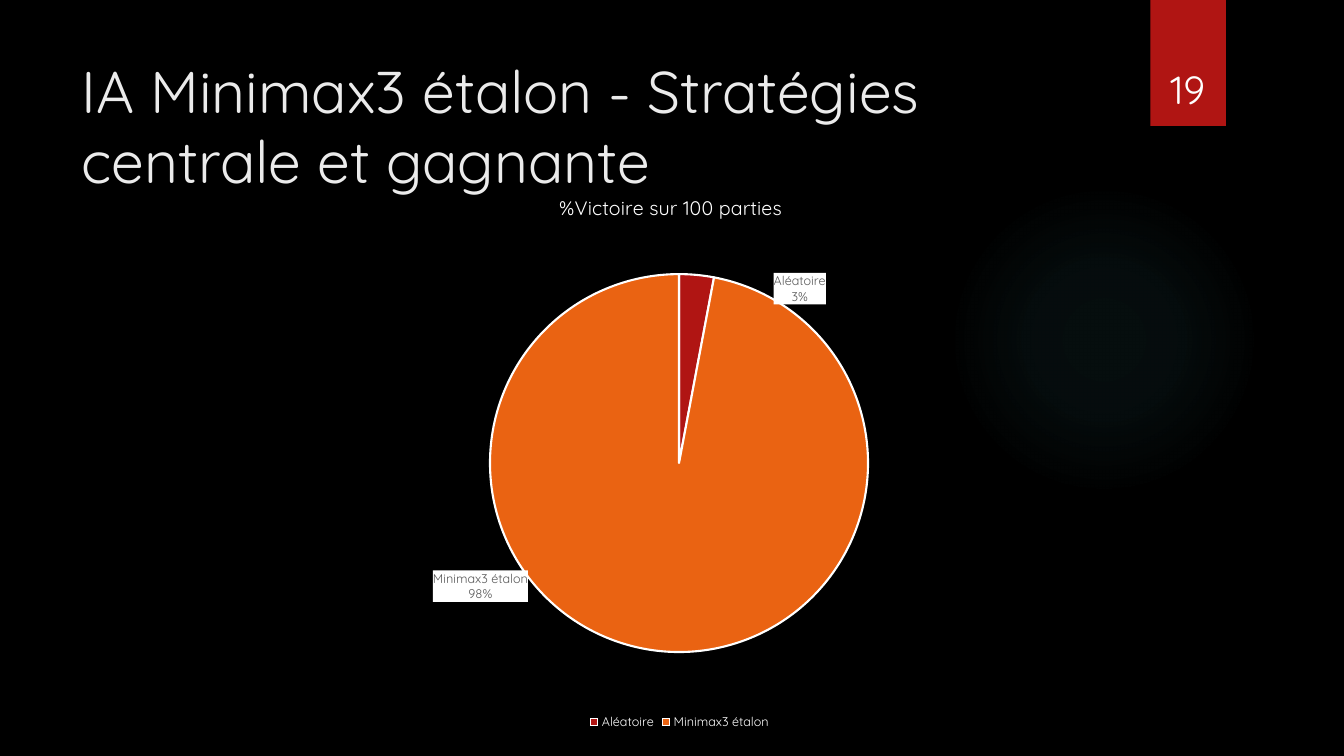
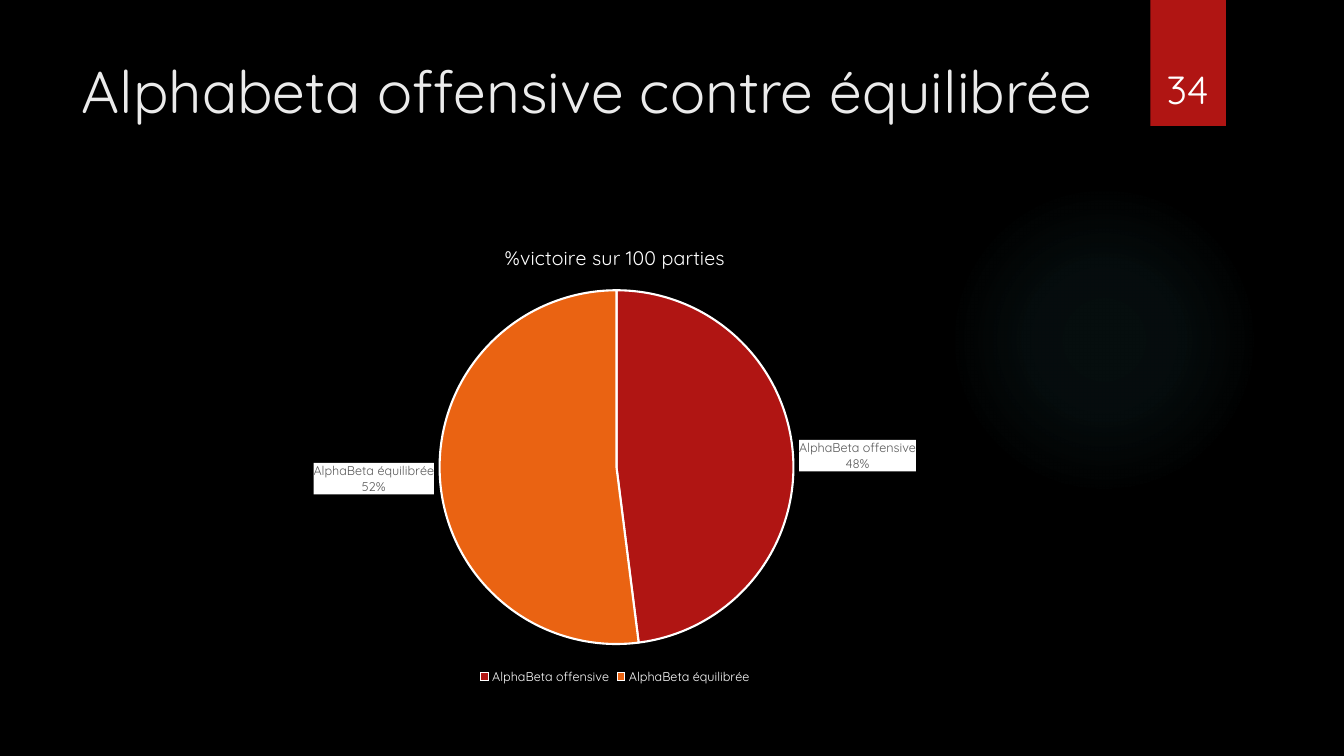
import copy

import pptx
import pptx.chart.data
import pptx.dml.color
import pptx.enum.chart
import pptx.enum.shapes
import pptx.enum.text
import pptx.oxml
import pptx.oxml.ns
import pptx.util
from lxml import etree

Inches = pptx.util.Inches
Pt = pptx.util.Pt
qn = pptx.oxml.ns.qn

FONT = "Quicksand"
BLACK, WHITE, TITLE_GREY, LABEL_GREY = "000000", "FFFFFF", "EBEBEB", "595959"
RED, ORANGE, GLOW = "B01513", "EA6312", "50B9C1"
GLOW_STOPS = [(0, 7), (36, 6), (69, 0)]  # position and opacity, in percent

# Chart boxes, pies and label offsets are in inches.
SLIDES = [
    {
        "title": "IA Minimax3 étalon - Stratégies centrale et gagnante",
        "number": "19",
        "chart_title": "%Victoire sur 100 parties",
        "chart_title_at": (5.51, 1.88),
        "results": {"Aléatoire": 3, "Minimax3 étalon": 98},
        "chart_box": (2.08, 1.68, 9.32, 5.6),
        "pie": (4.86, 2.72, 3.75),
        "label_offsets": [(0.76, 0.35), (-1.32, -0.86)],
    },
    {
        "title": "Alphabeta offensive contre équilibrée",
        "number": "34",
        "chart_title": "%victoire sur 100 parties",
        "chart_title_at": (4.97, 2.38),
        "results": {"AlphaBeta offensive": 48, "AlphaBeta équilibrée": 52},
        "chart_box": (1.21, 2.24, 9.78, 4.59),
        "pie": (4.36, 2.88, 3.51),
        "label_offsets": [],
    },
]


def rgb(color):
    return pptx.dml.color.RGBColor.from_string(color)


def add_layout(parent, index, settings):
    """Give a chart part a manual position, replacing any automatic one."""
    for old_layout in parent.findall(qn("c:layout")):
        parent.remove(old_layout)
    layout = etree.Element(qn("c:layout"))
    manual = etree.SubElement(layout, qn("c:manualLayout"))
    for name, value in settings.items():
        etree.SubElement(manual, qn(f"c:{name}")).set("val", str(value))
    parent.insert(index, layout)


presentation = pptx.Presentation()
presentation.slide_width = Inches(13.33)
presentation.slide_height = Inches(7.5)
background = presentation.slide_master.background.fill
background.solid()
background.fore_color.rgb = rgb(BLACK)
title_only = presentation.slide_layouts[5]

stops = "".join(
    f'<a:gs pos="{position * 1000}"><a:srgbClr val="{GLOW}">'
    f'<a:alpha val="{opacity * 1000}"/></a:srgbClr></a:gs>'
    for position, opacity in GLOW_STOPS
)
glow_fill = (
    f'<a:gradFill {pptx.oxml.ns.nsdecls("a")}><a:gsLst>{stops}</a:gsLst>'
    '<a:path path="circle"><a:fillToRect l="50000" t="50000" r="50000" b="50000"/>'
    "</a:path></a:gradFill>"
)
label_fill = (
    f'<c:spPr {pptx.oxml.ns.nsdecls("c", "a")}><a:solidFill>'
    f'<a:srgbClr val="{WHITE}"/></a:solidFill></c:spPr>'
)

for content in SLIDES:
    slide = presentation.slides.add_slide(title_only)
    shapes = slide.shapes

    # Glow and red band
    glow = shapes.add_shape(
        pptx.enum.shapes.MSO_SHAPE.OVAL,
        Inches(9.41), Inches(1.83), Inches(3.08), Inches(3.08),
    )
    glow.element.spPr.find(qn("a:prstGeom")).addnext(pptx.oxml.parse_xml(glow_fill))
    band = shapes.add_shape(
        pptx.enum.shapes.MSO_SHAPE.RECTANGLE,
        Inches(11.41), Inches(0), Inches(0.75), Inches(1.25),
    )
    band.fill.solid()
    band.fill.fore_color.rgb = rgb(RED)
    for shape in (glow, band):
        shape.shadow.inherit = False
        shape.line.fill.background()

    # Title, in front of the decoration, and slide number
    title = shapes.title
    title.element.getparent().append(title.element)
    title.left, title.top = Inches(0.71), Inches(0.49)
    title.width, title.height = Inches(10.29), Inches(1.53)
    number = shapes.add_textbox(
        Inches(11.32), Inches(0.32), Inches(0.92), Inches(0.84)
    )
    anchors = pptx.enum.text.MSO_ANCHOR
    alignments = pptx.enum.text.PP_ALIGN
    for shape, text, anchor, alignment in (
        (title, content["title"], anchors.TOP, alignments.LEFT),
        (number, content["number"], anchors.BOTTOM, alignments.CENTER),
    ):
        frame = shape.text_frame
        frame.text = text
        frame.word_wrap = True
        frame.auto_size = pptx.enum.text.MSO_AUTO_SIZE.NONE
        frame.vertical_anchor = anchor
        frame.paragraphs[0].alignment = alignment

    # Pie chart
    left, top, width, height = content["chart_box"]
    chart_data = pptx.chart.data.CategoryChartData()
    chart_data.categories = content["results"].keys()
    chart_data.add_series("Series 1", content["results"].values())
    chart = shapes.add_chart(
        pptx.enum.chart.XL_CHART_TYPE.PIE,
        Inches(left), Inches(top), Inches(width), Inches(height), chart_data,
    ).chart

    chart.has_title = True
    chart_title = chart.chart_title.text_frame
    chart_title.text = content["chart_title"]
    title_left, title_top = content["chart_title_at"]
    add_layout(chart.element.xpath("c:chart/c:title")[0], 1, {
        "xMode": "edge", "yMode": "edge",
        "x": (title_left - left) / width, "y": (title_top - top) / height,
    })

    pie_left, pie_top, diameter = content["pie"]
    add_layout(chart.element.xpath("c:chart/c:plotArea")[0], 0, {
        "layoutTarget": "inner", "xMode": "edge", "yMode": "edge",
        "x": (pie_left - left) / width, "y": (pie_top - top) / height,
        "w": diameter / width, "h": diameter / height,
    })

    chart.has_legend = True
    chart.legend.position = pptx.enum.chart.XL_LEGEND_POSITION.BOTTOM
    chart.legend.include_in_layout = False

    plot = chart.plots[0]
    plot.vary_by_categories = True
    series = plot.series[0]
    for index, color in enumerate((RED, ORANGE)):
        slice_format = series.points[index].format
        slice_format.fill.solid()
        slice_format.fill.fore_color.rgb = rgb(color)
        slice_format.line.color.rgb = rgb(WHITE)
        slice_format.line.width = Pt(1.5)

    # White labels showing category and percentage on two lines
    labels = series.data_labels
    label_formats = {
        "show_value": True,
        "show_category_name": True,
        "show_percentage": False,
        "number_format": '0"%"',
        "number_format_is_linked": False,
        "position": pptx.enum.chart.XL_LABEL_POSITION.OUTSIDE_END,
    }
    for name, value in label_formats.items():
        setattr(labels, name, value)

    for font, size, color in (
        (title.text_frame.paragraphs[0].runs[0].font, 42, TITLE_GREY),
        (number.text_frame.paragraphs[0].runs[0].font, 28, WHITE),
        (chart.font, 10, WHITE),
        (chart_title.paragraphs[0].runs[0].font, 14, WHITE),
        (chart.legend.font, 9, WHITE),
        (labels.font, 9, LABEL_GREY),
    ):
        font_formats = {"name": FONT, "size": Pt(size), "bold": False}
        for name, value in font_formats.items():
            setattr(font, name, value)
        font.color.rgb = rgb(color)

    label_group = chart.element.xpath(".//c:ser/c:dLbls")[0]
    label_group.find(qn("c:txPr")).addprevious(pptx.oxml.parse_xml(label_fill))
    for leader_lines in label_group.findall(qn("c:showLeaderLines")):
        label_group.remove(leader_lines)
    separator = etree.SubElement(label_group, qn("c:separator"))
    separator.text = "\n"
    shared_formats = list(label_group)
    etree.SubElement(label_group, qn("c:showLeaderLines")).set("val", "0")

    for index, (x, y) in enumerate(content["label_offsets"]):
        label = etree.Element(qn("c:dLbl"))
        etree.SubElement(label, qn("c:idx")).set("val", str(index))
        add_layout(label, 1, {"x": x / width, "y": y / height})
        label.extend(copy.deepcopy(shared_formats))
        label_group.insert(index, label)

presentation.save("out.pptx")
